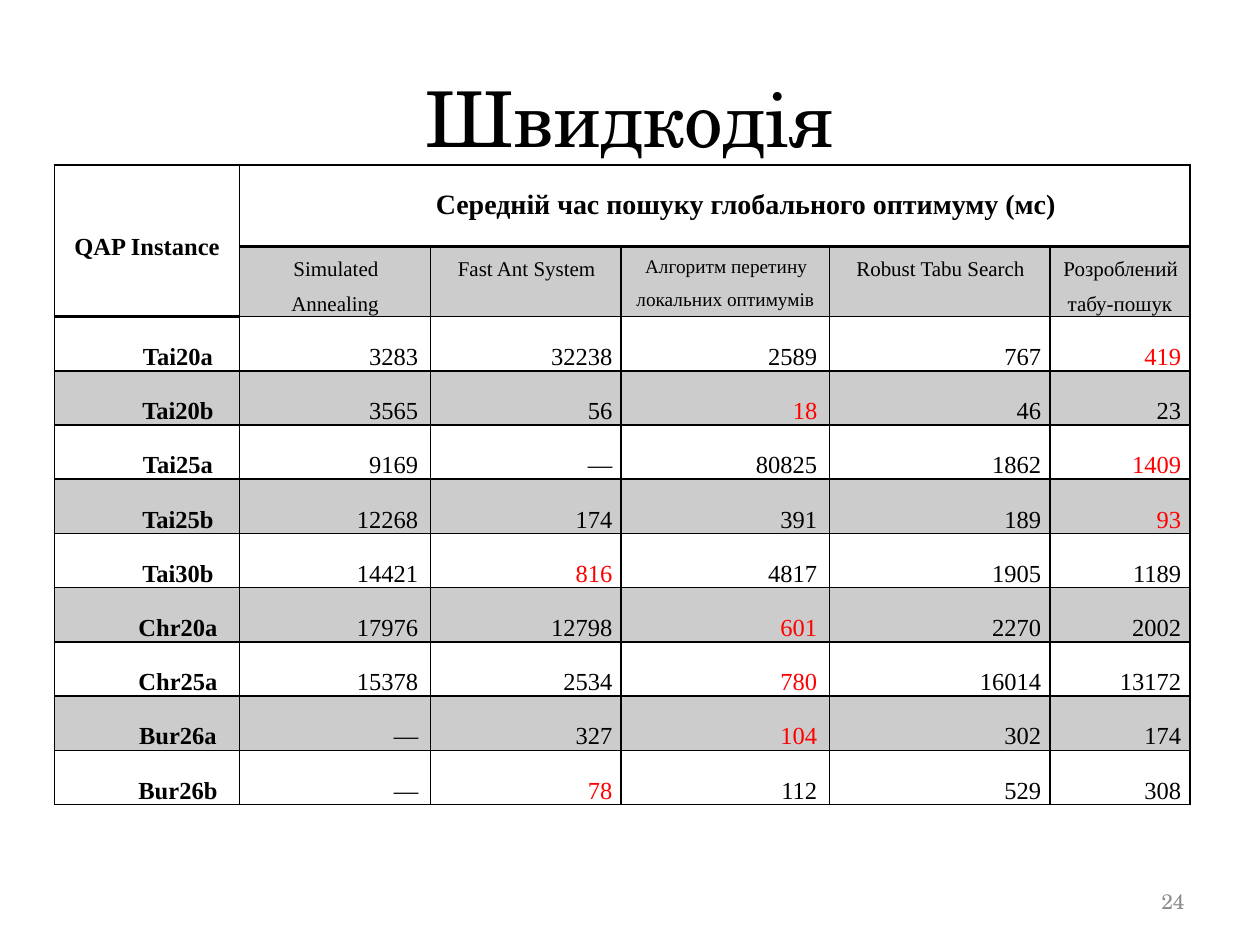
from pptx import Presentation
from pptx.dml.color import RGBColor
from pptx.enum.text import MSO_ANCHOR as Anchor, PP_ALIGN as Align
from pptx.oxml.ns import qn
from pptx.util import Pt
from lxml.etree import SubElement

COLORS = {"ink": "000000", "best": "FF0000", "page_number": "8C8C8C"}
TITLE_FONT = "TeX Gyre Schola"
TABLE_FONT = "Times New Roman"

COLUMN_WIDTHS = [106, 109, 109, 119, 126, 80]
HEADER_HEIGHTS = [46.3, 40.3]
ROW_HEIGHT = 31
SIDE_MARGIN = 5
# Columns whose numbers stand further from the right edge
RIGHT_MARGINS = {1: 7, 3: 7}
NAME_INDENT = 35.4
CELL_INDENT = 0.9

METHODS = [
    ("Simulated Annealing", 12),
    ("Fast Ant System", 12),
    ("Алгоритм перетину локальних оптимумів", 11),
    ("Robust Tabu Search", 12),
    ("Розроблений табу-пошук", 12),
]
# Instance, times per method, column of the best time
RESULTS = [
    ("Tai20a", ["3283", "32238", "2589", "767", "419"], 5),
    ("Tai20b", ["3565", "56", "18", "46", "23"], 3),
    ("Tai25a", ["9169", "—", "80825", "1862", "1409"], 5),
    ("Tai25b", ["12268", "174", "391", "189", "93"], 5),
    ("Tai30b", ["14421", "816", "4817", "1905", "1189"], 2),
    ("Chr20a", ["17976", "12798", "601", "2270", "2002"], 3),
    ("Chr25a", ["15378", "2534", "780", "16014", "13172"], 3),
    ("Bur26a", ["—", "327", "104", "302", "174"], 3),
    ("Bur26b", ["—", "78", "112", "529", "308"], 2),
]


def add_text(para, text, size, font, color="ink", bold=False, align=Align.CENTER):
    para.alignment = align
    span = para.add_run()
    span.text = text
    span.font.size = Pt(size)
    span.font.name = font
    span.font.bold = bold
    span.font.color.rgb = RGBColor.from_string(COLORS[color])


def style_cell(cell, shaded=False, bottom=1):
    """Set the borders, then the fill, of one cell."""
    props = cell._tc.get_or_add_tcPr()
    for side, width in (("L", 1), ("R", 1), ("T", 1), ("B", bottom)):
        line = SubElement(props, qn(f"a:ln{side}"), w=str(Pt(width)))
        fill = SubElement(line, qn("a:solidFill"))
        SubElement(fill, qn("a:srgbClr"), val=COLORS["ink"])
    if shaded:
        cell.fill.solid()
        cell.fill.fore_color.rgb = RGBColor.from_string(COLORS["ink"])
        tint = props.find(qn("a:solidFill")).find(qn("a:srgbClr"))
        SubElement(tint, qn("a:alpha"), val="20000")
    else:
        cell.fill.background()


def fill_cell(cell, text, size, spacing=1.0, indent=0, right=SIDE_MARGIN, top=0, **look):
    cell.margin_left, cell.margin_right = Pt(SIDE_MARGIN), Pt(right)
    cell.margin_top, cell.margin_bottom = Pt(top), Pt(0)
    para = cell.text_frame.paragraphs[0]
    para.line_spacing = spacing
    add_text(para, text, size, TABLE_FONT, **look)
    props = para._p.get_or_add_pPr()
    props.set("marL", "0")
    props.set("indent", str(Pt(indent)))


def add_title(page, left, top, width, height):
    title = page.shapes.title
    title.left, title.top, title.width, title.height = map(Pt, (left, top, width, height))
    title.text_frame.vertical_anchor = Anchor.MIDDLE
    add_text(title.text_frame.paragraphs[0], "Швидкодія", 44, TITLE_FONT)


def add_results_table(page, left, top):
    heights = HEADER_HEIGHTS + [ROW_HEIGHT] * len(RESULTS)
    frame = page.shapes.add_table(
        len(heights), len(COLUMN_WIDTHS),
        Pt(left), Pt(top), Pt(sum(COLUMN_WIDTHS)), Pt(sum(heights)))
    table = frame.table
    table.first_row = table.horz_banding = False
    for column, width in zip(table.columns, COLUMN_WIDTHS):
        column.width = Pt(width)
    for index, (row, height) in enumerate(zip(table.rows, heights)):
        row.height = Pt(height)
        for number, cell in enumerate(row.cells):
            thick = index == 0 or (index == 1 and number == 0)
            shaded = index % 2 == 1 and (index, number) != (1, 0)
            style_cell(cell, shaded, 2 if thick else 1)

    # Header
    corner = table.cell(0, 0)
    corner.merge(table.cell(1, 0))
    corner.vertical_anchor = Anchor.MIDDLE
    fill_cell(corner, "QAP Instance", 14, spacing=1.5, bold=True)
    heading = table.cell(0, 1)
    heading.merge(table.cell(0, len(METHODS)))
    fill_cell(heading, "Середній час пошуку глобального оптимуму (мс)", 16,
              indent=NAME_INDENT, top=13.8, bold=True)
    for number, (method, size) in enumerate(METHODS, 1):
        fill_cell(table.cell(1, number), method, size, spacing=1.5, indent=CELL_INDENT)

    # Results
    for index, (name, times, best) in enumerate(RESULTS, len(HEADER_HEIGHTS)):
        fill_cell(table.cell(index, 0), name, 14, spacing=2.0,
                  indent=NAME_INDENT, bold=True)
        for number, time in enumerate(times, 1):
            fill_cell(table.cell(index, number), time, 14, spacing=2.0,
                      indent=CELL_INDENT, right=RIGHT_MARGINS.get(number, SIDE_MARGIN),
                      color="best" if number == best else "ink", align=Align.RIGHT)


def add_page_number(page, left, top, width, height):
    box = page.shapes.add_textbox(*map(Pt, (left, top, width, height)))
    box.text_frame.word_wrap = True
    box.text_frame.vertical_anchor = Anchor.MIDDLE
    add_text(box.text_frame.paragraphs[0], "24", 12, TITLE_FONT,
             color="page_number", align=Align.RIGHT)


def main():
    deck = Presentation()
    deck.slide_width, deck.slide_height = Pt(720), Pt(540)
    page = deck.slides.add_slide(deck.slide_layouts[5])
    add_title(page, 36, 21.6, 648, 90)
    add_results_table(page, 31, 94.3)
    add_page_number(page, 516, 500.5, 168, 28.8)
    deck.save("out.pptx")


if __name__ == "__main__":
    main()
